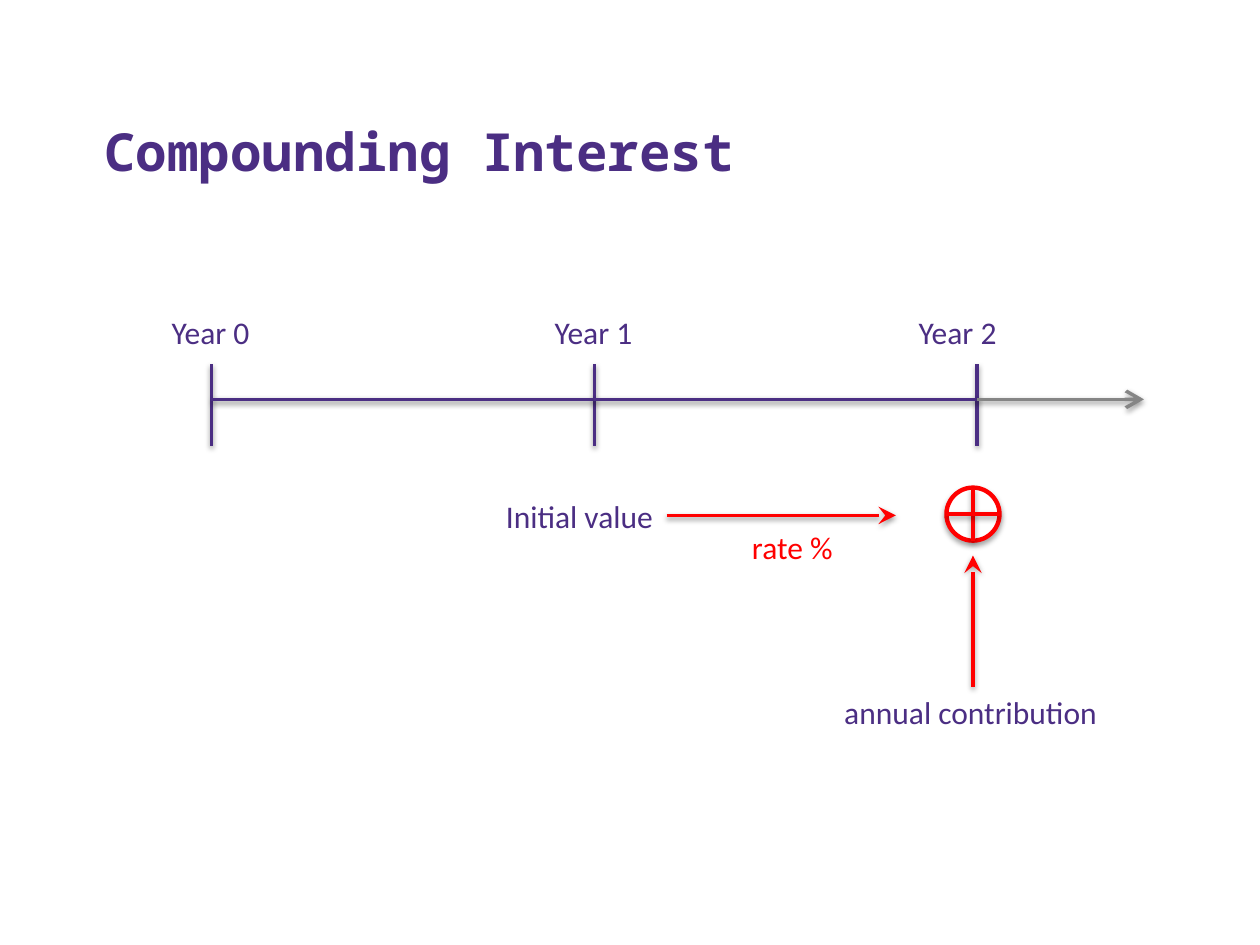
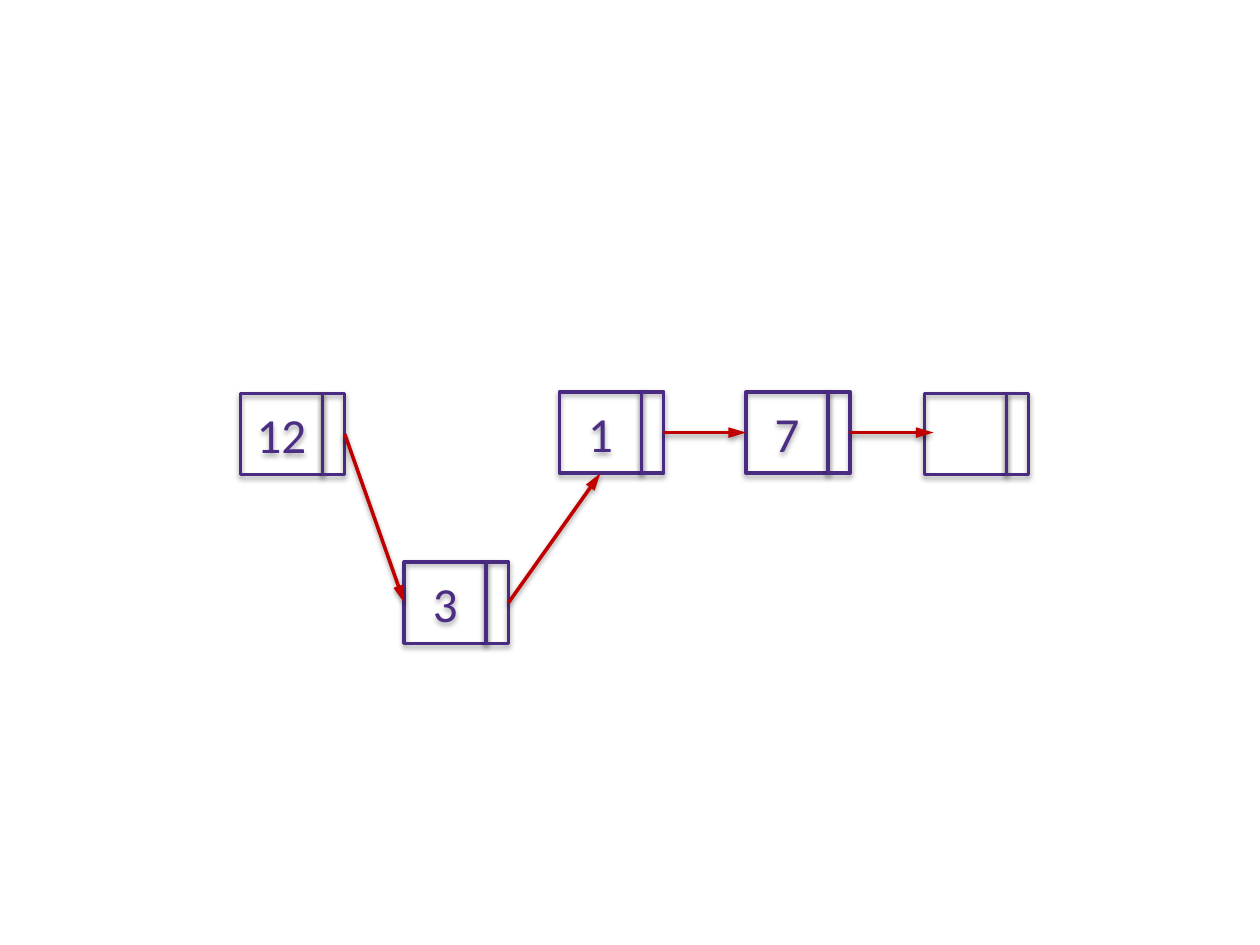
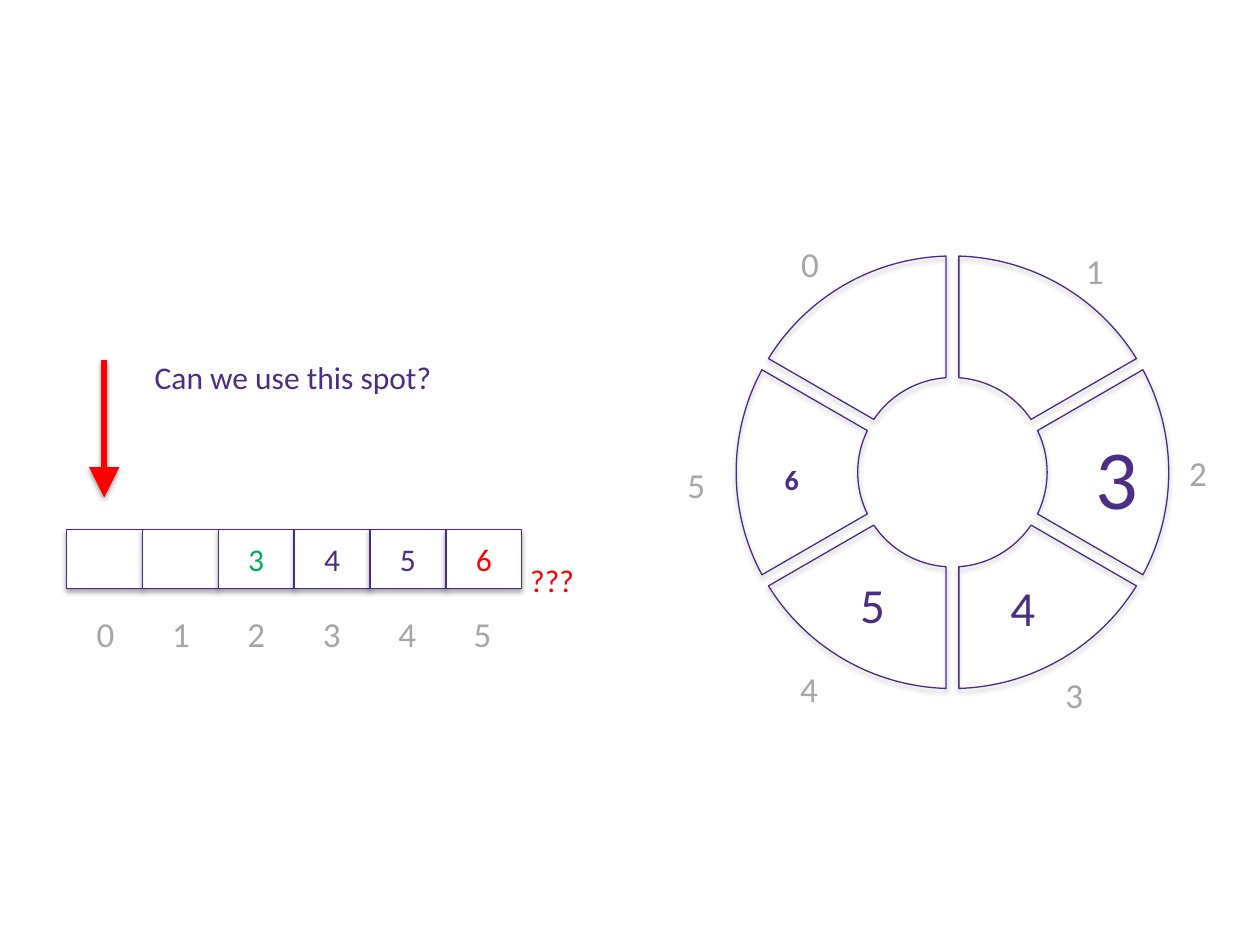
from math import asin, cos, radians, sin, tan

from lxml.etree import SubElement
from pptx import Presentation
from pptx.dml.color import RGBColor
from pptx.enum.shapes import MSO_CONNECTOR, MSO_SHAPE
from pptx.enum.text import MSO_ANCHOR, MSO_AUTO_SIZE, PP_ALIGN
from pptx.oxml.ns import qn
from pptx.util import Cm, Pt

PURPLE = RGBColor(0x4B, 0x2E, 0x83)
OUTLINE = RGBColor(0x49, 0x2B, 0x82)
RED = RGBColor(0xFF, 0x00, 0x00)
DARK_RED = RGBColor(0xC0, 0x00, 0x00)
GREEN = RGBColor(0x00, 0xB0, 0x50)
GRAY = RGBColor(0x85, 0x85, 0x85)
LIGHT_GRAY = RGBColor(0xA6, 0xA6, 0xA6)
WHITE = RGBColor(0xFF, 0xFF, 0xFF)

BODY_FONT = "Calibri"
TITLE_FONT = "Noto Sans Mono"

VALUE_WIDTH, POINTER_WIDTH, NODE_HEIGHT = 1.65, 0.45, 1.64


def add_shadow(shape, distance, opacity):
    properties = shape._element.spPr
    effects = properties.find(qn("a:effectLst"))
    if effects is None:
        effects = SubElement(properties, qn("a:effectLst"))
    shadow = SubElement(effects, qn("a:outerShdw"), blurRad=str(Pt(3.1)),
                        dist=str(Pt(distance)), dir="5400000", rotWithShape="0")
    color = SubElement(shadow, qn("a:srgbClr"), val="000000")
    SubElement(color, qn("a:alpha"), val=str(opacity * 1000))


def style_text(frame, text, size, color, font=BODY_FONT, bold=False):
    frame.text = text
    span = frame.paragraphs[0].runs[0]
    span.font.name = font
    span.font.size = Pt(size)
    span.font.bold = bold
    span.font.color.rgb = color


def add_label(page, text, left, top, width, height=1.02, size=18, color=PURPLE, bold=False):
    box = page.shapes.add_textbox(Cm(left), Cm(top), Cm(width), Cm(height))
    style_text(box.text_frame, text, size, color, bold=bold)
    box.text_frame.word_wrap = False
    box.text_frame.auto_size = MSO_AUTO_SIZE.SHAPE_TO_FIT_TEXT


def add_index(page, number, left, top):
    add_label(page, str(number), left, top, 0.86, 1.12, 20, LIGHT_GRAY)


def add_title(page, text):
    box = page.shapes.add_textbox(Cm(1.85), Cm(1.06), Cm(22.73), Cm(2.74))
    box.text_frame.word_wrap = True
    box.text_frame.vertical_anchor = MSO_ANCHOR.BOTTOM
    style_text(box.text_frame, text, 30, PURPLE, TITLE_FONT, True)


def add_line(page, start, end, color, width=2, arrow=None, arrow_width="lg"):
    line = page.shapes.add_connector(
        MSO_CONNECTOR.STRAIGHT, *(Cm(value) for value in (*start, *end)))
    line.line.color.rgb = color
    line.line.width = Pt(width)
    if arrow:
        SubElement(line._element.spPr.find(qn("a:ln")), qn("a:tailEnd"),
                   type=arrow, w=arrow_width, len="lg")
    add_shadow(line, 1.6, 38)


def outline_shape(shape, color, width, fill=None):
    if fill is None:
        shape.fill.background()
    else:
        shape.fill.solid()
        shape.fill.fore_color.rgb = fill
    shape.line.color.rgb = color
    shape.line.width = Pt(width)
    shape.shadow.inherit = False
    add_shadow(shape, 1.8, 35)


def add_outlined(page, kind, left, top, width, height, color=OUTLINE, weight=2, fill=None):
    shape = page.shapes.add_shape(kind, Cm(left), Cm(top), Cm(width), Cm(height))
    outline_shape(shape, color, weight, fill)
    return shape


def center_text(shape, text, size, color=PURPLE):
    if text:
        style_text(shape.text_frame, text, size, color)
        shape.text_frame.vertical_anchor = MSO_ANCHOR.MIDDLE
        shape.text_frame.paragraphs[0].alignment = PP_ALIGN.CENTER


def add_node(page, text, left, top):
    value = add_outlined(page, MSO_SHAPE.RECTANGLE, left, top, VALUE_WIDTH, NODE_HEIGHT)
    center_text(value, text, 28)
    add_outlined(page, MSO_SHAPE.RECTANGLE, left + VALUE_WIDTH, top, POINTER_WIDTH, NODE_HEIGHT)


def arc_points(center, radius, half_gap, start, sweep):
    inset = asin(half_gap / radius)
    first = radians(start) + inset
    half = (radians(sweep) - 2 * inset) / 2
    handle = 4 / 3 * tan(half / 4)

    def point(angle, pull=0):
        return (Cm(center[0] + radius * (cos(angle) - pull * sin(angle))),
                Cm(center[1] + radius * (sin(angle) + pull * cos(angle))))

    middle, last = first + half, first + 2 * half
    return [point(first), point(first, handle), point(middle, -handle), point(middle),
            point(middle, handle), point(last, -handle), point(last)]


def curve_segments(shape, starts):
    segments = list(shape._element.iter(qn("a:lnTo")))
    for start in starts:
        curve = segments[start].makeelement(qn("a:cubicBezTo"))
        segments[start].addprevious(curve)
        for segment in segments[start:start + 3]:
            curve.append(segment[0])
            segment.getparent().remove(segment)


def add_wheel(page, center, outer, inner, half_gap, count):
    sweep = 360 / count
    for position in range(count):
        start = -90 + sweep * (position - 1)
        outer_arc = arc_points(center, outer, half_gap, start, sweep)
        inner_arc = arc_points(center, inner, half_gap, start, sweep)
        points = outer_arc + inner_arc[::-1]
        builder = page.shapes.build_freeform(*points[0])
        builder.add_line_segments(points[1:], close=True)
        sector = builder.convert_to_shape()
        curve_segments(sector, (0, 3, 7, 10))
        outline_shape(sector, OUTLINE, 0.75)


def build_interest_page(page):
    add_title(page, "Compounding Interest")
    add_label(page, "annual contribution", 16.77, 13.84, 5.66)
    add_label(page, "Initial value", 9.95, 9.89, 3.51)
    add_line(page, (13.44, 10.39), (18.06, 10.39), RED, arrow="stealth")
    add_label(page, "rate %", 14.91, 10.52, 2.16, color=RED)

    left, top, size = 19.08, 9.83, 1.07
    middle, center = left + size / 2, top + size / 2
    add_outlined(page, MSO_SHAPE.OVAL, left, top, size, size, RED, 2.5, WHITE)
    add_line(page, (middle, top), (middle, top + size), RED)
    add_line(page, (left + size, center), (left, center), RED)
    add_line(page, (middle, 13.84), (middle, 11.2), RED, arrow="stealth")

    first_year, year_width, axis = 4.26, 7.72, 8.05
    for year, label_left in enumerate((3.21, 10.93, 18.27)):
        tick = first_year + year * year_width
        add_line(page, (tick, 7.34), (tick, 8.99), PURPLE)
        if year:
            add_line(page, (tick - year_width, axis), (tick, axis), PURPLE)
        add_label(page, f"Year {year}", label_left, 6.19, 2.11)
    add_line(page, (tick, axis), (23.06, axis), GRAY, arrow="arrow")


def build_linked_list_page(page):
    nodes = [("12", 4.85, 7.93), ("3", 8.15, 11.33), ("1", 11.28, 7.9),
             ("7", 15.04, 7.9), ("", 18.64, 7.93)]
    for node in nodes:
        add_node(page, *node)
    half = NODE_HEIGHT / 2
    targets = [(8.15, 11.33 + half), (11.28 + VALUE_WIDTH / 2, 7.9 + NODE_HEIGHT),
               (15.04, 7.9 + half), (18.82, 7.9 + half)]
    starts = [(left + VALUE_WIDTH + POINTER_WIDTH, top + half) for text, left, top in nodes]
    for start, target in zip(starts, targets):
        add_line(page, start, target, DARK_RED, arrow="triangle", arrow_width="med")


def build_circular_array_page(page):
    cells = [("", PURPLE), ("", PURPLE), ("3", GREEN), ("4", PURPLE), ("5", PURPLE), ("6", RED)]
    cell_width = 1.53
    for index, (text, color) in enumerate(cells):
        cell = add_outlined(page, MSO_SHAPE.RECTANGLE, 1.34 + index * cell_width, 10.67,
                            cell_width, 1.2, weight=0.75, fill=WHITE)
        center_text(cell, text, 18, color)
    add_label(page, "???", 10.44, 11.19, 1.4, color=RED)
    add_line(page, (2.1, 7.26), (2.1, 10.03), RED, 3.5, "triangle")
    add_label(page, "Can we use this spot?", 2.87, 7.09, 6.15)

    add_wheel(page, (19.2, 9.52), 4.36, 1.91, 0.13, len(cells))
    index_places = [(15.9, 4.77), (21.64, 4.9), (23.72, 8.97),
                    (21.23, 13.46), (15.88, 13.34), (13.61, 9.22)]
    for index, place in enumerate(index_places):
        add_index(page, index, 1.7 + index * 1.52, 12.22)
        add_index(page, index, *place)
    add_label(page, "3", 21.84, 8.46, 1.38, 2.31, 48)
    add_label(page, "4", 20.12, 11.51, 1.22, 1.45, 28)
    add_label(page, "5", 17.09, 11.46, 1.22, 1.45, 28)
    add_label(page, "6", 15.57, 9.19, 1.22, 0.94, 16, bold=True)


def main():
    deck = Presentation()
    deck.slide_width, deck.slide_height = Cm(25.4), Cm(19.05)
    for build_page in (build_interest_page, build_linked_list_page, build_circular_array_page):
        build_page(deck.slides.add_slide(deck.slide_layouts[6]))
    deck.save("out.pptx")


if __name__ == "__main__":
    main()
